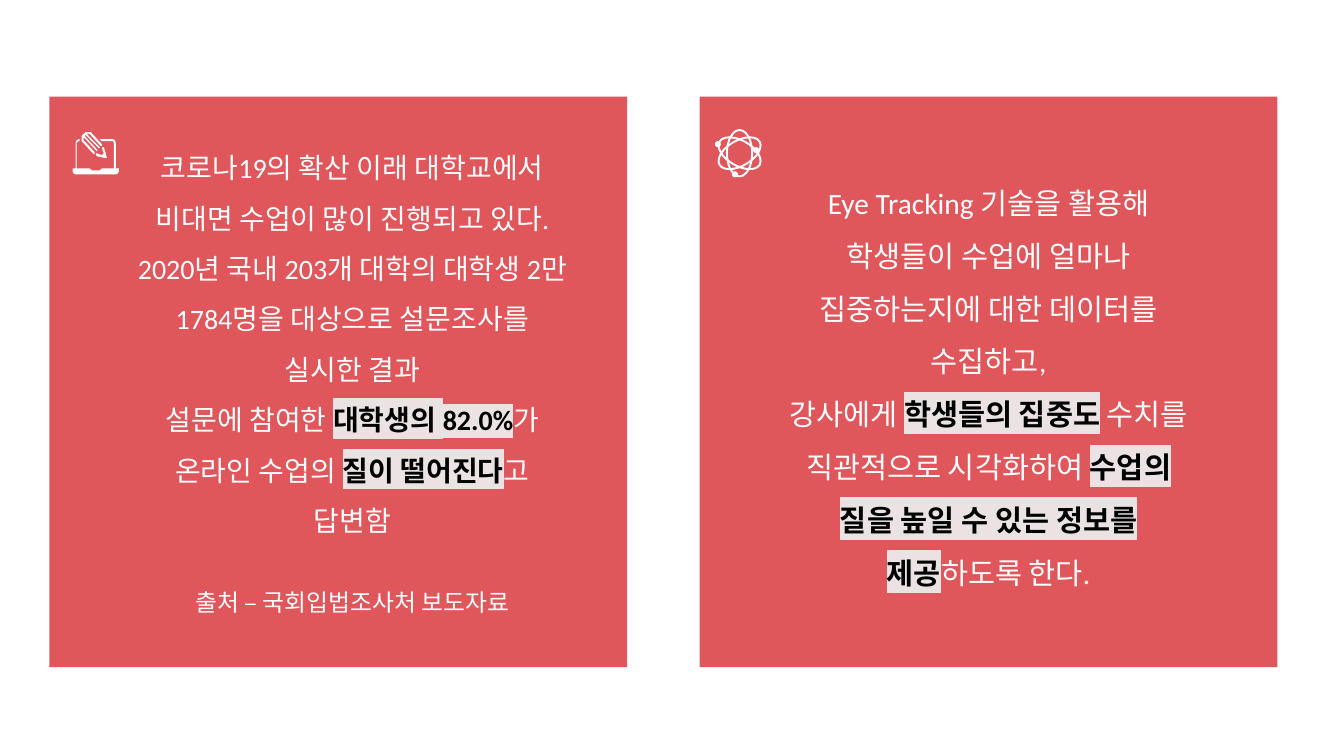
from lxml import etree
from pptx import Presentation
from pptx.dml.color import RGBColor
from pptx.enum.shapes import MSO_SHAPE
from pptx.enum.text import MSO_AUTO_SIZE, PP_ALIGN
from pptx.oxml.ns import qn
from pptx.util import Inches, Pt

RECTANGLE = MSO_SHAPE.RECTANGLE
OVAL = MSO_SHAPE.OVAL
CENTER = PP_ALIGN.CENTER
GROW = MSO_AUTO_SIZE.SHAPE_TO_FIT_TEXT
COLORS = {"panel": "DF565B", "white": "FFFFFF", "black": "000000", "marker": "EBE3E3"}


def color(name):
    return RGBColor.from_string(COLORS[name])


def paint(shape, fill):
    shape.shadow.inherit = False
    shape.fill.solid()
    shape.fill.fore_color.rgb = color(fill)
    shape.line.fill.background()


presentation = Presentation()
presentation.slide_width = Inches(13.33)
presentation.slide_height = Inches(7.5)
slide = presentation.slides.add_slide(presentation.slide_layouts[6])
shapes = slide.shapes

for left in (0.49, 6.94):
    paint(shapes.add_shape(RECTANGLE, Inches(left), Inches(0.96), Inches(5.73), Inches(5.66)), "panel")

pencil = [
    (81, 135), (85, 131), (86, 131), (89, 131), (90, 131), (101, 143), (101, 145), (100, 145),
    (89, 133), (86, 133), (99, 146), (99, 147), (98, 147), (85, 134), (84, 135), (97, 149),
    (96, 150), (83, 136), (83, 139), (94, 151), (94, 153), (93, 153), (81, 140), (81, 136),
]
laptop = [
    (75, 167), (75, 142), (76, 139), (78, 138), (79, 138), (79, 140), (78, 140), (76, 142),
    (76, 167), (89, 167), (91, 169), (99, 169), (101, 167), (113, 167), (113, 142), (112, 140),
    (101, 140), (99, 138), (112, 138), (114, 139), (115, 142), (115, 167), (118, 167), (118, 170),
    (117, 172), (115, 173), (75, 173), (73, 172), (72, 170), (72, 167),
]
pencil_tip = [
    (95, 153), (96, 152), (101, 154), (103, 152), (101, 147), (102, 146), (103, 146),
    (106, 156), (105, 157), (96, 155),
]
for outline in (pencil, laptop, pencil_tip):
    builder = shapes.build_freeform(*outline[0], scale=Inches(0.01))
    builder.add_line_segments(outline[1:], close=True)
    paint(builder.convert_to_shape(), "white")

for angle in (0, 60, 120):
    orbit = shapes.add_shape(OVAL, Inches(7.21), Inches(1.29), Inches(0.25), Inches(0.46))
    orbit.rotation = angle
    orbit.shadow.inherit = False
    orbit.fill.background()
    orbit.line.color.rgb = color("white")
    orbit.line.width = Pt(1.4)
for x, y in ((7.12, 1.43), (7.5, 1.49), (7.29, 1.73)):
    electron = shapes.add_shape(OVAL, Inches(x - 0.03), Inches(y - 0.03), Inches(0.06), Inches(0.06))
    paint(electron, "white")

# Each run is (text, highlighted); each paragraph is (size, space before, runs).
survey = [
    (20, 0, [("코로나19의 확산 이래 대학교에서 비대면 수업이 많이 진행되고 있다.", False)]),
    (20, 0, [("2020년 국내 203개 대학의 대학생 2만 1784명을 대상으로 설문조사를 실시한 결과", False)]),
    (20, 0, [("설문에 참여한 ", False), ("대학생의 82.0%", True), ("가", False)]),
    (20, 0, [("온라인 수업의 ", False), ("질이 떨어진다", True), ("고 답변함", False)]),
    (17, 26, [("출처 – 국회입법조사처 보도자료", False)]),
]
goal = [
    (21, 0, [("Eye Tracking 기술을 활용해 학생들이 수업에 얼마나 집중하는지에 대한 데이터를 수집하고,", False)]),
    (21, 0, [
        ("강사에게 ", False), ("학생들의 집중도", True), (" 수치를 직관적으로 시각화하여 ", False),
        ("수업의 질을 높일 수 있는 정보를 제공", True), ("하도록 한다.", False),
    ]),
]
for left, top, width, height, paragraphs in (
    (1.25, 1.28, 4.49, 4.85, survey),
    (7.66, 1.61, 4.29, 4.28, goal),
):
    frame = shapes.add_textbox(Inches(left), Inches(top), Inches(width), Inches(height)).text_frame
    frame.word_wrap = True
    frame.auto_size = GROW
    for index, (size, space_before, runs) in enumerate(paragraphs):
        paragraph = frame.add_paragraph() if index else frame.paragraphs[0]
        paragraph.alignment = CENTER
        paragraph.line_spacing = 1.5
        if space_before:
            paragraph.space_before = Pt(space_before)
        paragraph.font.size = Pt(size)
        paragraph.font.name = "Calibri"
        paragraph.font.color.rgb = color("white")
        for text, highlighted in runs:
            run = paragraph.add_run()
            run.text = text
            if highlighted:
                run.font.bold = True
                run.font.color.rgb = color("black")
                highlight = etree.SubElement(run.font._element, qn("a:highlight"))
                etree.SubElement(highlight, qn("a:srgbClr"), val=COLORS["marker"])

presentation.save("out.pptx")
